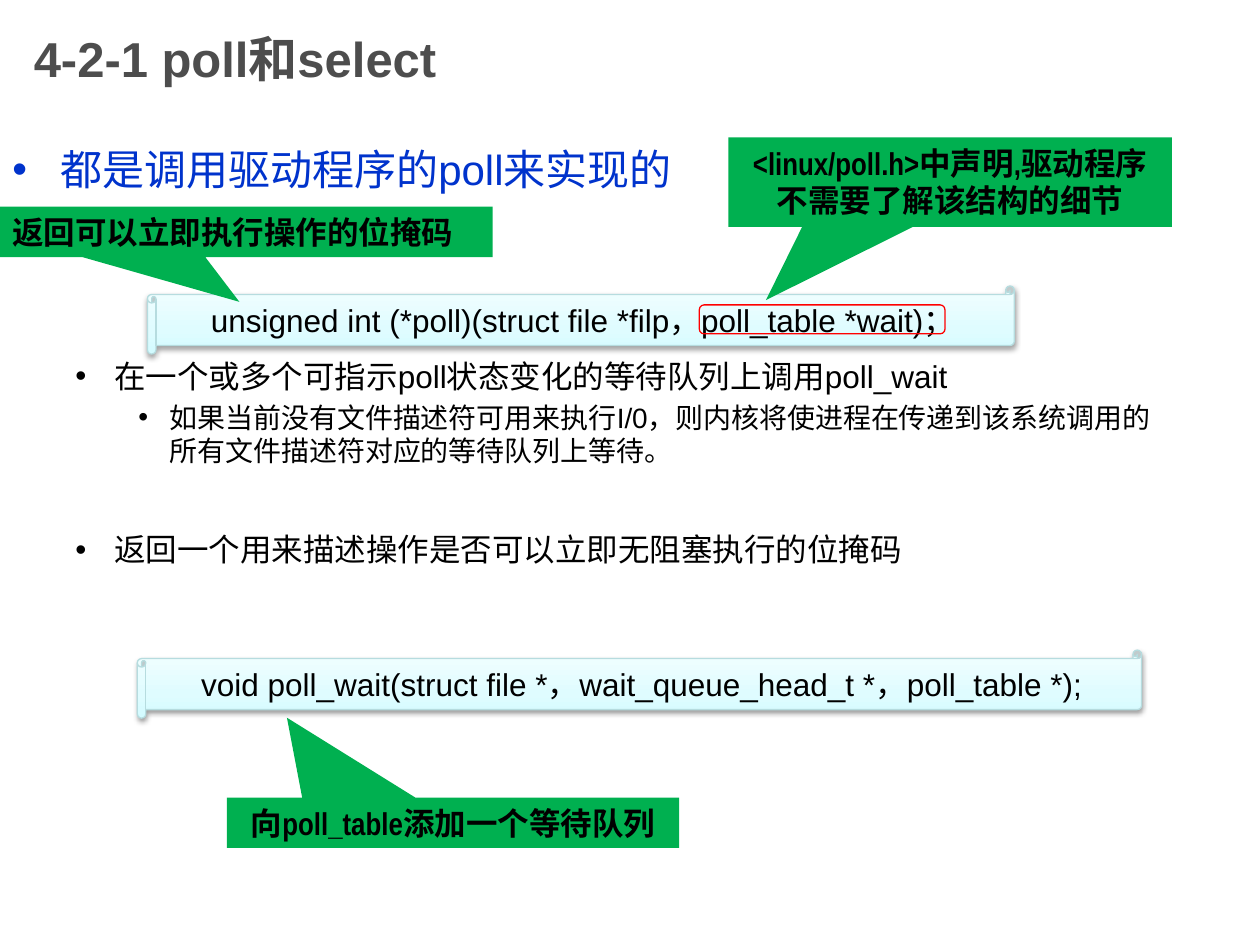
from copy import deepcopy
from dataclasses import dataclass

from lxml import etree
from pptx import Presentation
from pptx.dml.color import RGBColor
from pptx.enum.shapes import MSO_SHAPE
from pptx.enum.text import MSO_ANCHOR, MSO_AUTO_SIZE, PP_ALIGN
from pptx.oxml.ns import qn
from pptx.util import Inches, Pt

SCROLL = MSO_SHAPE.HORIZONTAL_SCROLL
CALLOUT = MSO_SHAPE.RECTANGULAR_CALLOUT
ROUNDED = MSO_SHAPE.ROUNDED_RECTANGLE
TOP, MIDDLE = MSO_ANCHOR.TOP, MSO_ANCHOR.MIDDLE
GROW = MSO_AUTO_SIZE.SHAPE_TO_FIT_TEXT
LEFT, CENTER = PP_ALIGN.LEFT, PP_ALIGN.CENTER


@dataclass(frozen=True)
class Theme:
    font: str = "Arial"
    narrow: str = "Arial Narrow"
    title: str = "4D4D4D"
    topic: str = "0033CC"
    ink: str = "000000"
    note: str = "00B050"
    highlight: str = "FF0000"
    scroll_edge: str = "B6DCDF"
    scroll_stops: tuple = ((0, "D3FBFF"), (0.35, "DFFCFF"), (1, "F2FEFF"))
    title_size: int = 28
    topic_size: int = 24
    text_size: int = 18
    detail_size: int = 16
    line: float = 0.75


THEME = Theme()


def rgb(value):
    return RGBColor.from_string(value)


def write(paragraph, text, size=THEME.text_size, font=THEME.font,
          color=THEME.ink, bold=False, align=LEFT, before=0):
    paragraph.alignment = align
    paragraph.space_before = Pt(before)
    run = paragraph.add_run()
    run.text = text
    run.font.size = Pt(size)
    run.font.name = font
    run.font.bold = bold
    run.font.color.rgb = rgb(color)


def add_bullet(paragraph, margin, hanging):
    properties = paragraph._p.get_or_add_pPr()
    properties.set("marL", str(Inches(margin)))
    properties.set("indent", str(-Inches(hanging)))
    etree.SubElement(properties, qn("a:buFont"), typeface=THEME.font)
    etree.SubElement(properties, qn("a:buChar"), char="•")


def add_text_area(slide, box, anchor=TOP):
    frame = slide.shapes.add_textbox(*map(Inches, box)).text_frame
    frame.word_wrap = True
    frame.vertical_anchor = anchor
    return frame


def add_outline(slide, outlines, box):
    shape = slide.shapes.add_shape(outlines, *map(Inches, box))
    shape.shadow.inherit = False
    shape.text_frame.word_wrap = True
    return shape


def add_scroll(slide, box, code):
    scroll = add_outline(slide, SCROLL, box)
    scroll.fill.gradient()
    scroll.fill.gradient_angle = 90
    properties = scroll._element.spPr
    stop_list = properties.find(".//" + qn("a:gsLst"))
    stop_list.append(deepcopy(stop_list[0]))
    for stop, (position, color) in zip(scroll.fill.gradient_stops, THEME.scroll_stops):
        stop.position = position
        stop.color.rgb = rgb(color)
    scroll.line.color.rgb = rgb(THEME.scroll_edge)
    scroll.line.width = Pt(THEME.line)
    shadow = etree.SubElement(
        properties.find(qn("a:effectLst")), qn("a:outerShdw"),
        blurRad=str(Pt(3.1)), dist=str(Pt(1.6)), dir="5400000", rotWithShape="0")
    tint = etree.SubElement(shadow, qn("a:srgbClr"), val=THEME.ink)
    etree.SubElement(tint, qn("a:alpha"), val="38000")
    scroll.text_frame.vertical_anchor = MIDDLE
    write(scroll.text_frame.paragraphs[0], code, align=CENTER)


def add_callout(slide, box, tip, note, align=CENTER):
    callout = add_outline(slide, CALLOUT, box)
    callout.adjustments[0], callout.adjustments[1] = tip
    callout.fill.solid()
    callout.fill.fore_color.rgb = rgb(THEME.note)
    callout.line.fill.background()
    callout.text_frame.vertical_anchor = TOP
    callout.text_frame.auto_size = GROW
    write(callout.text_frame.paragraphs[0], note, font=THEME.narrow, bold=True, align=align)


def add_highlight(slide, box):
    highlight = add_outline(slide, ROUNDED, box)
    highlight.fill.background()
    highlight.line.color.rgb = rgb(THEME.highlight)
    highlight.line.width = Pt(THEME.line)


def add_points(slide, box):
    topic = dict(margin=0.38, hanging=0.38)
    point = dict(margin=0.81, hanging=0.31)
    detail = dict(margin=1.25, hanging=0.25)
    points = [
        ("都是调用驱动程序的poll来实现的", topic,
         dict(size=THEME.topic_size, color=THEME.topic)),
        ("在一个或多个可指示poll状态变化的等待队列上调用poll_wait", point,
         dict(before=93)),
        ("如果当前没有文件描述符可用来执行I/0，则内核将使进程在传递到该系统调用的"
         "所有文件描述符对应的等待队列上等待。", detail,
         dict(size=THEME.detail_size, before=3.2)),
        ("返回一个用来描述操作是否可以立即无阻塞执行的位掩码", point,
         dict(before=36)),
    ]
    frame = add_text_area(slide, box)
    for index, (text, level, style) in enumerate(points):
        paragraph = frame.add_paragraph() if index else frame.paragraphs[0]
        write(paragraph, text, **style)
        add_bullet(paragraph, **level)


def main():
    deck = Presentation()
    deck.slide_width, deck.slide_height = Inches(10), Inches(7.5)
    slide = deck.slides.add_slide(deck.slide_layouts[6])

    heading = add_text_area(slide, (0.17, 0, 7.5, 0.92), MIDDLE)
    write(heading.paragraphs[0], "4-2-1 poll和select", size=THEME.title_size,
          color=THEME.title, bold=True)
    add_points(slide, (0, 1.09, 9.45, 5.17))

    add_scroll(slide, (1.17, 2.27, 6.88, 0.54),
               "unsigned int (*poll)(struct file *filp，poll_table *wait)；")
    add_highlight(slide, (5.55, 2.42, 1.95, 0.23))
    add_callout(slide, (5.78, 1.09, 3.52, 0.71), (-0.415, 1.32),
                "<linux/poll.h>中声明,驱动程序不需要了解该结构的细节")
    add_scroll(slide, (1.09, 5.16, 7.97, 0.54),
               "void poll_wait(struct file *，wait_queue_head_t *，poll_table *);")
    add_callout(slide, (1.8, 6.33, 3.59, 0.4), (-0.367, -2.084),
                "向poll_table添加一个等待队列")
    add_callout(slide, (0, 1.64, 3.91, 0.4), (-0.014, 1.39),
                "返回可以立即执行操作的位掩码", align=LEFT)

    deck.save("out.pptx")


if __name__ == "__main__":
    main()
